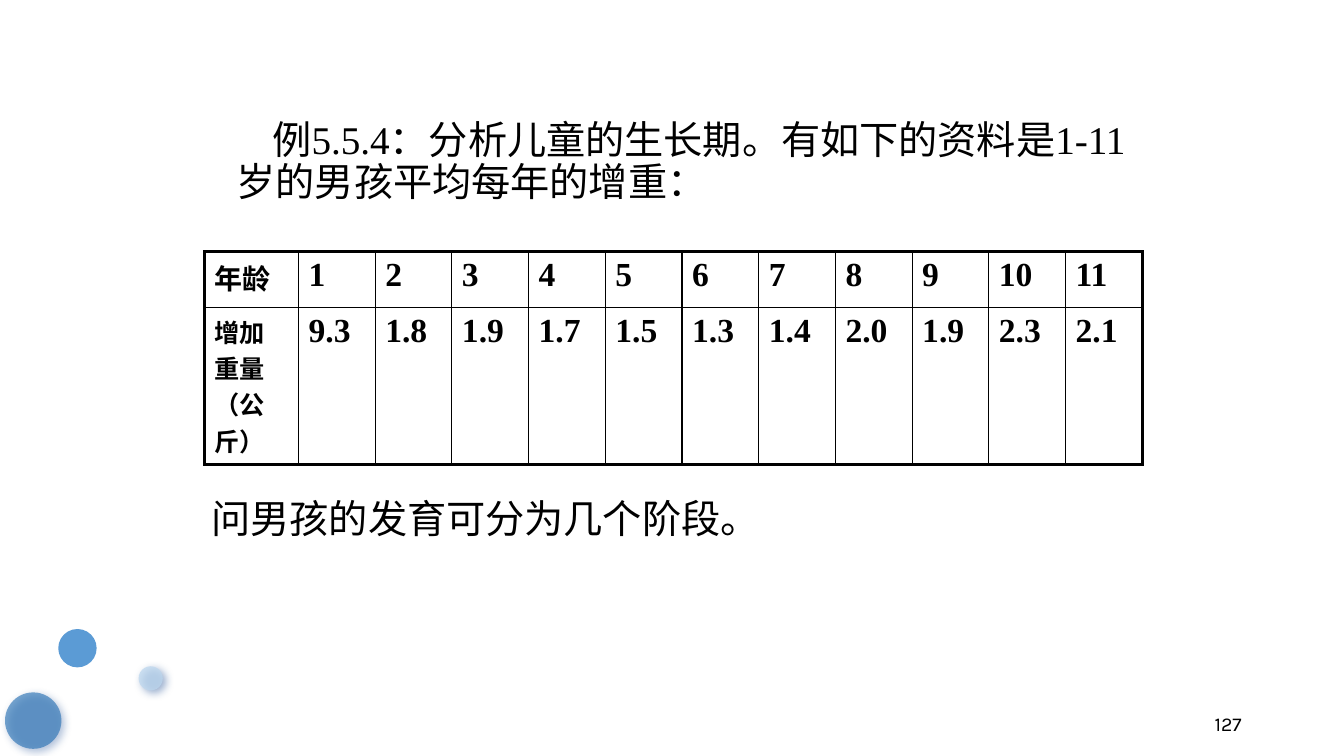
"""Build the slide on boys' yearly weight gain, with its data table and corner bubbles."""
import pptx
import pptx.dml.color
import pptx.enum.shapes
import pptx.enum.text
import pptx.oxml.ns
import pptx.util
from lxml import etree

Pt = pptx.util.Pt
RGB = pptx.dml.color.RGBColor.from_string
qn = pptx.oxml.ns.qn
COLORS = {"text": "000000", "bubble": "5B9BD5", "dark": "2E75B6",
          "pale": "BDD7EE", "shadow": "2B579A"}


def set_font(p, size, name="Times New Roman", bold=False):
    p.font.size = Pt(size)
    p.font.name = name
    p.font.bold = bold
    p.font.color.rgb = RGB(COLORS["text"])


def add_text(left, top, width, height, text, size, name="Times New Roman"):
    tf = s.shapes.add_textbox(Pt(left), Pt(top), Pt(width), Pt(height)).text_frame
    tf.word_wrap = True
    p = tf.paragraphs[0]
    p.text = text
    set_font(p, size, name)
    return tf, p


prs = pptx.Presentation()
prs.slide_width, prs.slide_height = Pt(960), Pt(540)
s = prs.slides.add_slide(prs.slide_layouts[6])

bubbles = [(41.6, 449.3, 27.4, "bubble", 100, None),
           (3.6, 494.6, 40.3, "dark", 65, 55),
           (99, 475.9, 17.3, "pale", 75, 61)]
for left, top, size, color, alpha, shadow_alpha in bubbles:
    sp = s.shapes.add_shape(pptx.enum.shapes.MSO_SHAPE.OVAL, Pt(left), Pt(top), Pt(size), Pt(size))
    sp.shadow.inherit = False
    sp.line.fill.background()
    sp.fill.solid()
    sp.fill.fore_color.rgb = RGB(COLORS[color])
    if shadow_alpha:
        fill = sp._element.spPr.find(qn("a:solidFill"))
        etree.SubElement(fill[0], qn("a:alpha"), val=str(alpha * 1000))
        effects = sp._element.spPr.find(qn("a:effectLst"))
        shadow = etree.SubElement(effects, qn("a:outerShdw"), blurRad=str(Pt(6)),
                                  dist=str(Pt(3)), dir="2700000")
        tint = etree.SubElement(shadow, qn("a:srgbClr"), val=COLORS["shadow"])
        etree.SubElement(tint, qn("a:alpha"), val=str(shadow_alpha * 1000))

tf, p = add_text(144, 82.5, 672.5, 70,
                 "例5.5.4：分析儿童的生长期。有如下的资料是1-11岁的男孩平均每年的增重：", 28)
p.line_spacing = 0.9
p._p.get_or_add_pPr().set("marL", str(Pt(18)))
p._p.get_or_add_pPr().set("indent", str(Pt(25.5)))

tf, p = add_text(144, 353.5, 672.5, 40, "问男孩的发育可分为几个阶段。", 28)
p.line_spacing = 0.9

tf, p = add_text(678, 500.4, 216, 28.8, "127", 14, "Karla")
tf.vertical_anchor = pptx.enum.text.MSO_ANCHOR.BOTTOM
p.alignment = pptx.enum.text.PP_ALIGN.RIGHT

rows = [["年龄", *(str(age) for age in range(1, 12))],
        ["增加重量（公斤）", "9.3", "1.8", "1.9", "1.7", "1.5", "1.3",
         "1.4", "2.0", "1.9", "2.3", "2.1"]]
label_sizes = [20, 18]
row_heights = [40, 112]
last_row, last_col = len(rows) - 1, len(rows[0]) - 1
table = s.shapes.add_table(len(rows), len(rows[0]), Pt(146), Pt(179.8),
                           Pt(670), Pt(sum(row_heights))).table
table.first_row = table.horz_banding = False
for row, height in zip(table.rows, row_heights):
    row.height = Pt(height)
for i, column in enumerate(table.columns):
    column.width = Pt(54.8 if i else 67.2)

for i, row in enumerate(rows):
    for j, text in enumerate(row):
        cell = table.cell(i, j)
        cell.text = text
        set_font(cell.text_frame.paragraphs[0], 24 if j else label_sizes[i], bold=True)
        tcPr = cell._tc.get_or_add_tcPr()
        outer = {"a:lnL": j == 0, "a:lnR": j == last_col,
                 "a:lnT": i == 0, "a:lnB": i == last_row}
        for side, thick in outer.items():
            ln = etree.SubElement(tcPr, qn(side), w=str(Pt(2.25 if thick else 1)))
            fill = etree.SubElement(ln, qn("a:solidFill"))
            etree.SubElement(fill, qn("a:srgbClr"), val=COLORS["text"])
        cell.fill.background()

prs.save("out.pptx")
